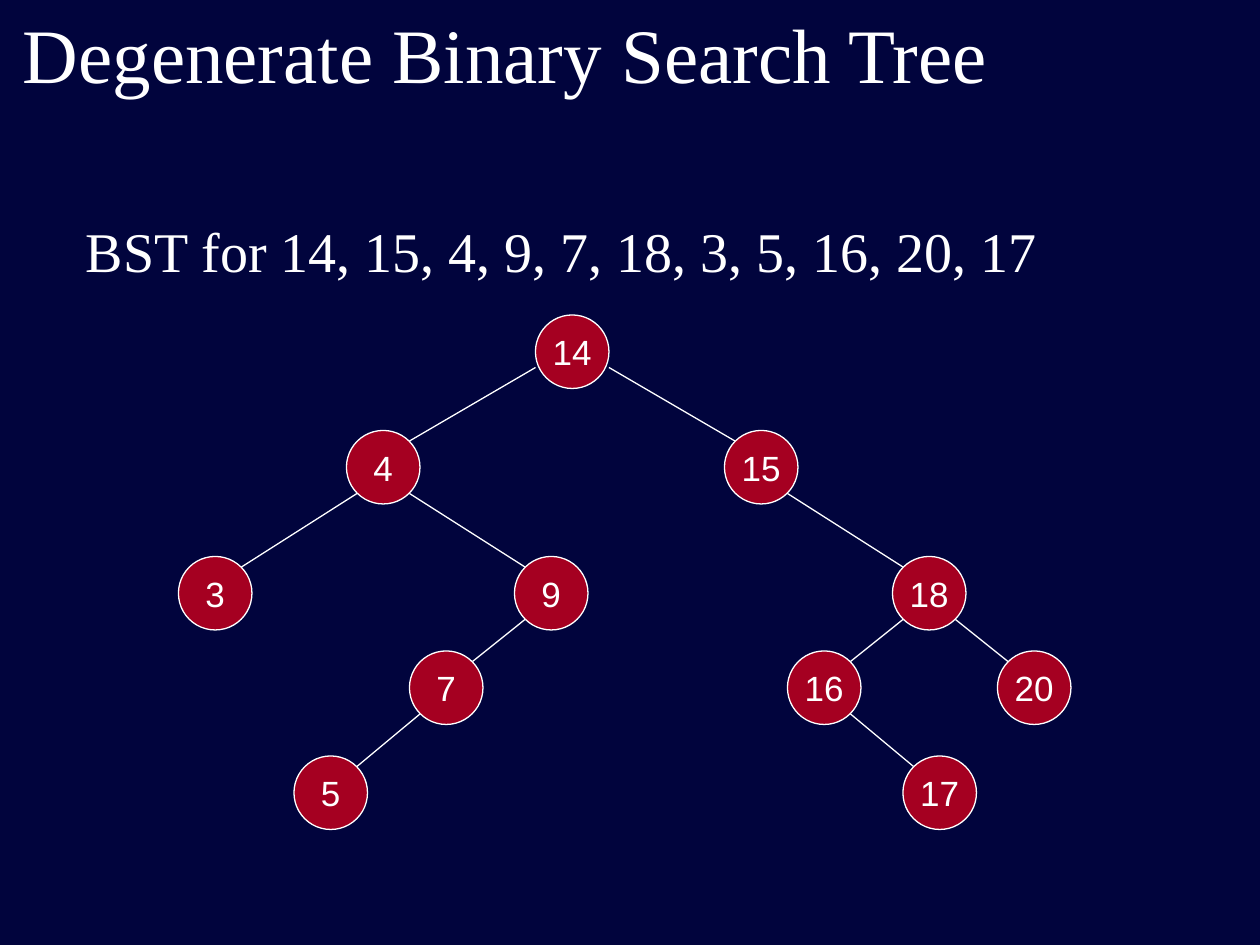
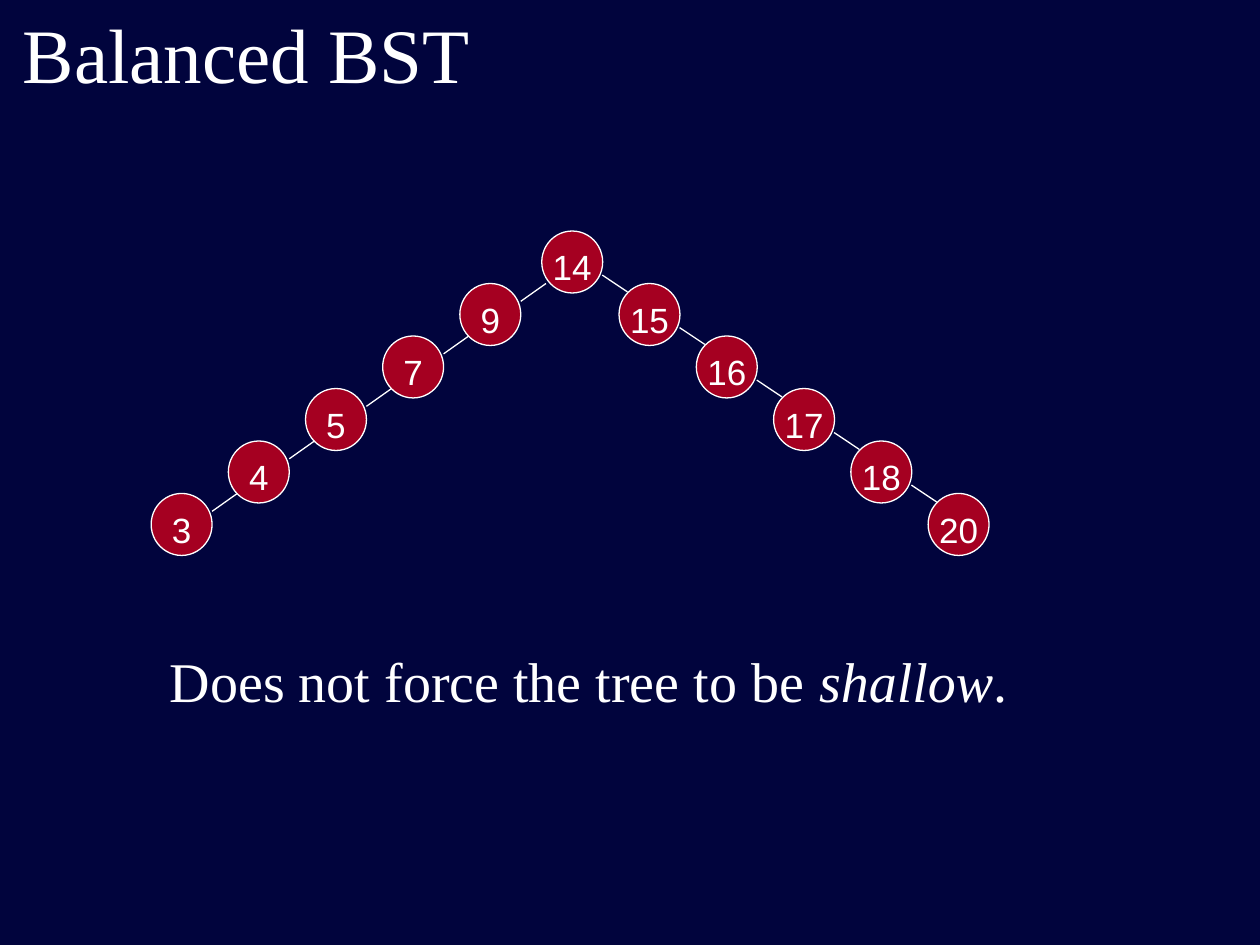
"""Two slides showing binary search trees with circular nodes."""
from lxml import etree
from pptx import Presentation
from pptx import util as u
from pptx.dml.color import RGBColor
from pptx.enum import shapes, text
from pptx.oxml.ns import qn

NAVY = RGBColor(0x01, 0x04, 0x3D)
CRIMSON = RGBColor(0xA5, 0x00, 0x21)
WHITE = RGBColor(0xFF, 0xFF, 0xFF)
SERIF, SANS = "Times New Roman", "Arial"


def px(*lengths):
    return [u.Emu(round(length * 7620)) for length in lengths]


def write(frame, runs, font, size, anchor):
    frame.vertical_anchor = anchor
    for words, italic in runs:
        run = frame.paragraphs[0].add_run()
        run.text = words
        run.font.name, run.font.size = font, u.Pt(size)
        run.font.italic = italic
        run.font.color.rgb = WHITE


branching = {
    14: (510, 300, None), 15: (690, 410, 14), 4: (330, 410, 14),
    9: (490, 530, 4), 7: (390, 620, 9), 18: (850, 530, 15),
    3: (170, 530, 4), 5: (280, 720, 7), 16: (750, 620, 18),
    20: (950, 620, 18), 17: (860, 720, 16),
}
branching_nodes, branching_edges = [], []
for key, (left, top, parent) in branching.items():
    branching_nodes.append((key, left, top))
    if parent is None:
        continue
    parent_left, parent_top, grandparent = branching[parent]
    inset, drop = (0, 50) if grandparent is None else (10, 60)
    if left < parent_left:
        start_x, end_x = parent_left + inset, left + 60
    else:
        start_x, end_x = parent_left + 70 - inset, left + 10
    branching_edges.append((start_x, parent_top + drop, end_x, top + 10))

chain_nodes, chain_edges = [(14, 516, 220)], []
for depth, (smaller, larger) in enumerate(zip([9, 7, 5, 4, 3], [15, 16, 17, 18, 20]), 1):
    top = 220 + 50 * depth
    smaller_left, larger_left = 511.5 - 73.5 * depth, 516 + 73.6 * depth
    chain_nodes += [(smaller, smaller_left, top), (larger, larger_left, top)]
    chain_edges += [(smaller_left + 58, top + 17, smaller_left + 82, top),
                    (larger_left - 16, top - 8, larger_left + 8, top + 8)]

lessons = [
    ("Degenerate Binary Search Tree", (70, 200, 1080, 110),
     [("BST for 14, 15, 4, 9, 7, 18, 3, 5, 16, 20, 17", False)],
     branching_nodes, branching_edges, (70, 70), 0),
    ("Balanced BST", (150, 610, 1080, 100),
     [("Does not force the tree to be ", False), ("shallow", True), (".", False)],
     chain_nodes, chain_edges, (58, 59), 9),
]

deck = Presentation()
deck.slide_width, deck.slide_height = px(1200, 900)

for heading, statement_area, statement, nodes, edges, node_size, label_drop in lessons:
    slide = deck.slides.add_slide(deck.slide_layouts[6])
    slide.background.fill.solid()
    slide.background.fill.fore_color.rgb = NAVY

    title = slide.shapes.add_textbox(*px(10, -10, 1080, 120)).text_frame
    title.word_wrap = True
    write(title, [(heading, False)], SERIF, 44, text.MSO_ANCHOR.MIDDLE)

    body = slide.shapes.add_textbox(*px(*statement_area)).text_frame
    body.word_wrap = True
    body.paragraphs[0].space_before = u.Pt(8)
    write(body, statement, SERIF, 32, text.MSO_ANCHOR.TOP)

    for key, left, top in nodes:
        node = slide.shapes.add_shape(shapes.MSO_SHAPE.OVAL, *px(left, top, *node_size))
        node.shadow.inherit = False
        node.fill.solid()
        node.fill.fore_color.rgb = CRIMSON
        node.line.color.rgb = WHITE
        node.line.width = u.Pt(0.75)
        label = node.text_frame
        label.word_wrap = False
        label.margin_left = label.margin_right = label.margin_bottom = 0
        label.margin_top = px(label_drop)[0]
        label.paragraphs[0].alignment = text.PP_ALIGN.CENTER
        write(label, [(str(key), False)], SANS, 20, text.MSO_ANCHOR.MIDDLE)

    for edge in edges:
        branch = slide.shapes.add_connector(shapes.MSO_CONNECTOR.STRAIGHT, *px(*edge))
        branch.line.color.rgb = WHITE
        branch.line.width = u.Pt(0.75)
        etree.SubElement(branch._element.spPr, qn("a:effectLst"))

deck.save("out.pptx")
